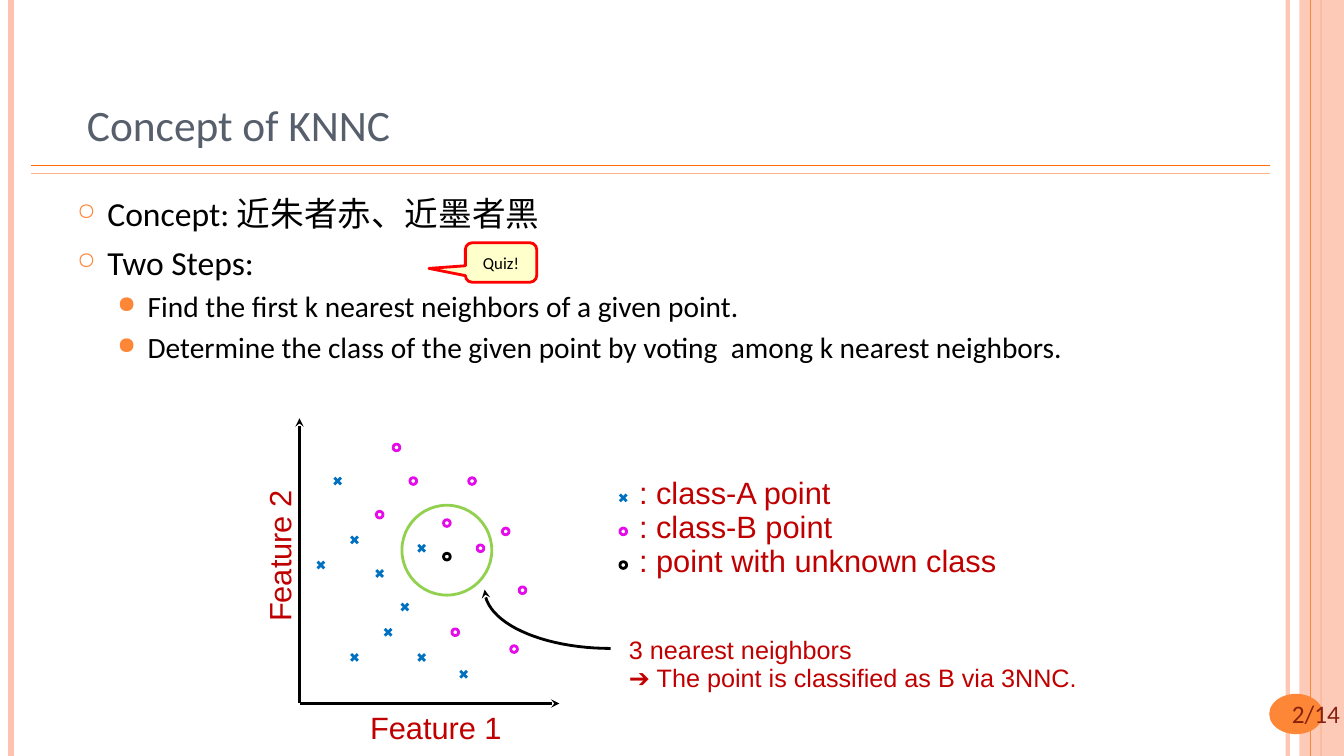
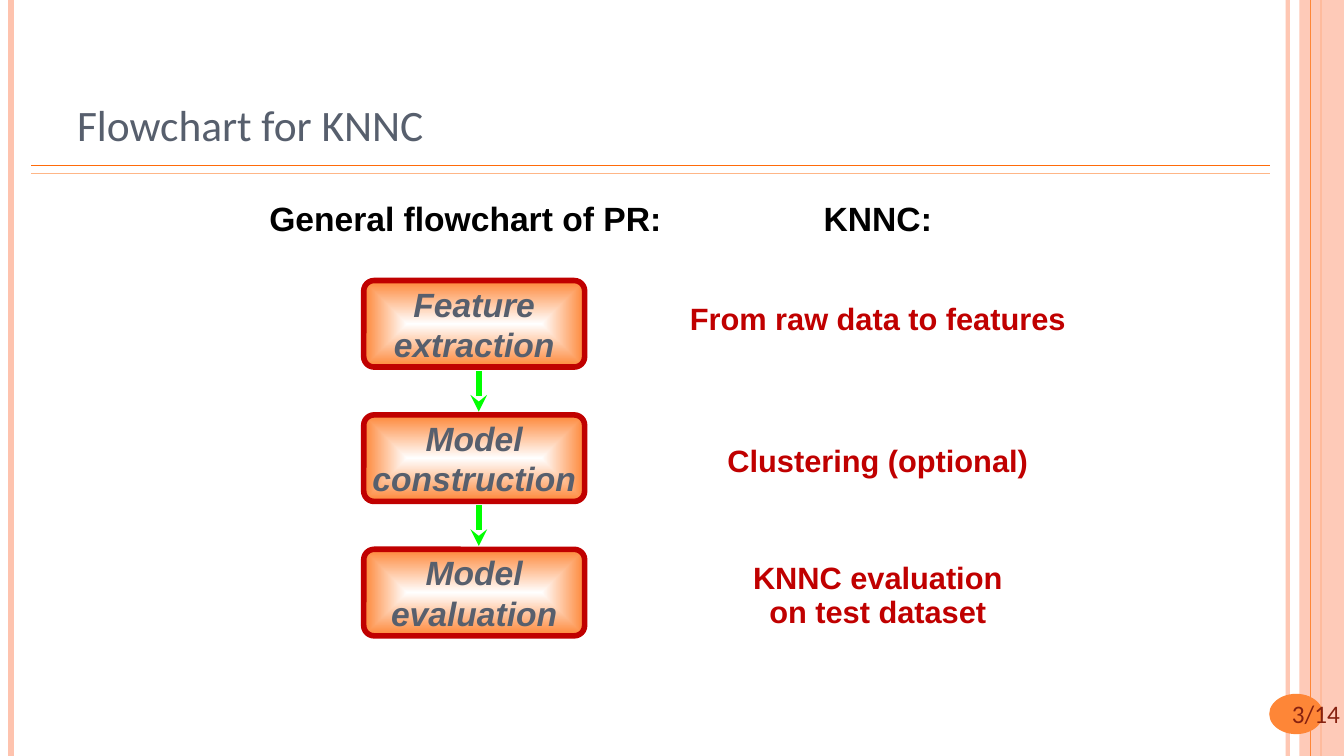
import math
from dataclasses import dataclass
from typing import NamedTuple, Optional

from pptx import Presentation
from pptx import util as u
from pptx.dml.color import RGBColor
from pptx.enum import shapes, text
from pptx.oxml import ns, xmlchemy
from pptx.slide import Slide

COLUMNS, ROWS = 160, 90
SLIDE_WIDTH, SLIDE_HEIGHT = u.Inches(13.33), u.Inches(7.5)
PAGE_COUNT = 14
SHAPE = shapes.MSO_SHAPE
LEFT, CENTER, RIGHT = text.PP_ALIGN.LEFT, text.PP_ALIGN.CENTER, text.PP_ALIGN.RIGHT
TOP, MIDDLE, BOTTOM = text.MSO_ANCHOR.TOP, text.MSO_ANCHOR.MIDDLE, text.MSO_ANCHOR.BOTTOM


@dataclass(frozen=True)
class Theme:
    heading_font: str = "Calibri"
    label_font: str = "Arial"
    black: str = "000000"
    white: str = "FFFFFF"
    slate: str = "575F6D"
    orange: str = "FE8637"
    rule_dark: str = "FF6B0A"
    rule_light: str = "FEB687"
    peach: str = "FEC3AE"
    page: str = "862110"
    red: str = "C00000"
    class_a: str = "0070C0"
    class_b: str = "E60BEB"
    neighborhood: str = "92D050"
    flow_arrow: str = "00FF00"
    callout_fill: str = "FFFFCC"
    callout_line: str = "FF0000"
    title_size: float = 31
    body_size: float = 24
    step_size: float = 21
    label_size: float = 22
    note_size: float = 18
    quiz_size: float = 12


THEME = Theme()


class Box(NamedTuple):
    column: float
    row: float
    columns: float
    rows: float


class Point(NamedTuple):
    column: float
    row: float


class Style(NamedTuple):
    size: float
    color: str
    font: str = THEME.label_font
    bold: bool = False
    italic: bool = False
    align: text.PP_ALIGN = LEFT
    spacing: Optional[float] = None
    before: float = 0


class Line(NamedTuple):
    start: Point
    end: Point
    color: str
    width: float
    arrow: bool = False
    opacity: int = 100


class Bullet(NamedTuple):
    words: str
    level: int
    symbol: str
    percent: int
    indent: float
    before: float
    size: float


class Stage(NamedTuple):
    lines: list[str]
    answer: list[str]
    answer_row: float


LABEL = Style(THEME.label_size, THEME.red, spacing=0.65, before=7)
AXIS_LABEL = LABEL._replace(align=CENTER)
ANSWER = AXIS_LABEL._replace(bold=True)
FLOW_HEADING = ANSWER._replace(size=THEME.body_size, color=THEME.black)
STAGE_STYLE = Style(THEME.body_size, THEME.slate, bold=True, italic=True, align=CENTER)
TITLE = Style(THEME.title_size, THEME.slate, THEME.heading_font, spacing=0.9)
PAGE = Style(THEME.note_size, THEME.page, THEME.heading_font, align=RIGHT)
QUIZ = Style(THEME.quiz_size, THEME.black, THEME.heading_font, align=CENTER)

STRIPES = [
    Line(Point(153.3, 0), Point(153.3, ROWS), THEME.peach, 3, opacity=93),
    Line(Point(1.3, 0), Point(1.3, ROWS), THEME.peach, 4.5),
    Line(Point(157.3, 0), Point(157.3, ROWS), THEME.orange, 1.5),
]
RULES = [
    Line(Point(156, 0), Point(156, ROWS), THEME.orange, 0.75),
    Line(Point(3.7, 19.7), Point(151.2, 19.7), THEME.rule_dark, 1),
    Line(Point(3.7, 20.65), Point(151.2, 20.65), THEME.rule_light, 1),
]
BULLETS = [
    Bullet("Concept: 近朱者赤、近墨者黑", 0, "○", 70, 0.3, 0, THEME.body_size),
    Bullet("Two Steps:", 0, "○", 70, 0.3, 6, THEME.body_size),
    Bullet("Find the first k nearest neighbors of a given point.", 1, "●", 80, 0.7, 4.2, THEME.step_size),
    Bullet("Determine the class of the given point by voting  among k nearest neighbors.",
           1, "●", 80, 0.7, 4.2, THEME.step_size),
]
CLASS_A = [(38, 67), (42, 64), (46, 75), (42, 78), (40, 57), (50, 78), (45, 68),
           (50, 65), (48, 72), (55, 80), (74, 59)]
CLASS_B = [(45, 61), (49, 57), (47, 53), (53, 62), (56, 57), (54, 75), (57, 65),
           (60, 63), (62, 70), (61, 77), (74, 63)]
UNKNOWN = [(53, 66), (74, 67)]
MARK_SHIFT = Point(0.2, 0.27)
MARK_RADIUS = 0.4
STAGES = [
    Stage(["Feature", "extraction"], ["From raw data to features"], 36.5),
    Stage(["Model", "construction"], ["Clustering (optional)"], 53.4),
    Stage(["Model", "evaluation"], ["KNNC evaluation", "on test dataset"], 67.3),
]


def across(columns: float) -> int:
    return round(SLIDE_WIDTH * columns / COLUMNS)


def down(rows: float) -> int:
    return round(SLIDE_HEIGHT * rows / ROWS)


def place(box: Box) -> tuple[int, int, int, int]:
    return across(box.column), down(box.row), across(box.columns), down(box.rows)


def rgb(color: str) -> RGBColor:
    return RGBColor.from_string(color)


def add_child(parent, tag: str, **attributes: object):
    child = xmlchemy.OxmlElement(tag)
    for name, value in attributes.items():
        child.set(name, str(value))
    parent.append(child)
    return child


def set_opacity(shape, percent: int) -> None:
    for color in shape._element.spPr.iter(ns.qn("a:srgbClr")):
        add_child(color, "a:alpha", val=percent * 1000)


def add_arrowhead(shape) -> None:
    add_child(shape.line._get_or_add_ln(), "a:tailEnd", type="stealth")


def style_paragraph(paragraph, style: Style, first: bool) -> None:
    paragraph.alignment = style.align
    if style.spacing:
        paragraph.line_spacing = style.spacing
    if style.before and not first:
        paragraph.space_before = u.Pt(style.before)
    font = paragraph.font
    font.name, font.size, font.color.rgb = style.font, u.Pt(style.size), rgb(style.color)
    font.bold, font.italic = style.bold, style.italic


def write(shape, lines: list[str], style: Style, anchor=TOP, wrap: bool = True) -> None:
    frame = shape.text_frame
    frame.word_wrap = wrap
    frame.vertical_anchor = anchor
    for index, words in enumerate(lines):
        paragraph = frame.add_paragraph() if index else frame.paragraphs[0]
        paragraph.text = words
        style_paragraph(paragraph, style, index == 0)


def add_text(slide: Slide, box: Box, lines: list[str], style: Style, anchor=TOP):
    shape = slide.shapes.add_textbox(*place(box))
    write(shape, lines, style, anchor)
    return shape


def add_line(slide: Slide, line: Line) -> None:
    connector = slide.shapes.add_connector(
        shapes.MSO_CONNECTOR.STRAIGHT, across(line.start.column), down(line.start.row),
        across(line.end.column), down(line.end.row))
    connector.line.color.rgb = rgb(line.color)
    connector.line.width = u.Pt(line.width)
    if line.opacity < 100:
        set_opacity(connector, line.opacity)
    if line.arrow:
        add_arrowhead(connector)
    add_child(connector._element.spPr, "a:effectLst")


def paint(shape, fill: Optional[str], line: Optional[str], width: float = 2) -> None:
    shape.shadow.inherit = False
    if fill:
        shape.fill.solid()
        shape.fill.fore_color.rgb = rgb(fill)
    else:
        shape.fill.background()
    if line:
        shape.line.color.rgb = rgb(line)
        shape.line.width = u.Pt(width)
    else:
        shape.line.fill.background()


def add_shape(slide: Slide, kind, box: Box, fill: Optional[str], line: Optional[str], width: float = 2):
    shape = slide.shapes.add_shape(kind, *place(box))
    paint(shape, fill, line, width)
    return shape


def add_circle(slide: Slide, center: Point, radius: float, line: str, fill: Optional[str] = None) -> None:
    box = Box(center.column - radius, center.row - radius, 2 * radius, 2 * radius)
    add_shape(slide, SHAPE.OVAL, box, fill, line)


def add_cross(slide: Slide, center: Point) -> None:
    for slope in (1, -1):
        start = Point(center.column - MARK_RADIUS, center.row - slope * MARK_RADIUS)
        end = Point(center.column + MARK_RADIUS, center.row + slope * MARK_RADIUS)
        add_line(slide, Line(start, end, THEME.class_a, 2))


def mark_center(column: int, row: int) -> Point:
    return Point(column + MARK_SHIFT.column, row + MARK_SHIFT.row)


def add_slide(presentation, title: str, number: int) -> Slide:
    slide = presentation.slides.add_slide(presentation.slide_layouts[6])
    for stripe in STRIPES:
        add_line(slide, stripe)
    band = add_shape(slide, SHAPE.RECTANGLE, Box(154.7, 0, 5.3, ROWS), THEME.peach, None)
    set_opacity(band, 87)
    for rule in RULES:
        add_line(slide, rule)
    add_shape(slide, SHAPE.OVAL, Box(151.1, 82.6, 6.4, 4.8), THEME.orange, None)
    add_text(slide, Box(146.2, 82.6, 14.5, 4.8), [f"{number}/{PAGE_COUNT}"], PAGE)
    add_text(slide, Box(8, 3.6, 130.7, 15), [title], TITLE, BOTTOM)
    return slide


def add_bullets(slide: Slide) -> None:
    frame = slide.shapes.add_textbox(*place(Box(8, 22.4, 130.7, 62.5))).text_frame
    frame.word_wrap = True
    for index, bullet in enumerate(BULLETS):
        paragraph = frame.add_paragraph() if index else frame.paragraphs[0]
        paragraph.text = bullet.words
        paragraph.level = bullet.level
        properties = paragraph._p.get_or_add_pPr()
        properties.set("marL", str(u.Inches(bullet.indent)))
        properties.set("indent", str(u.Inches(-0.3)))
        add_child(add_child(properties, "a:buClr"), "a:srgbClr", val=THEME.orange)
        add_child(properties, "a:buSzPct", val=bullet.percent * 1000)
        add_child(properties, "a:buChar", char=bullet.symbol)
        style = Style(bullet.size, THEME.black, THEME.heading_font, before=bullet.before)
        style_paragraph(paragraph, style, index == 0)


def add_curved_arrow(slide: Slide, center: Point, columns: float, rows: float, steps: int = 24) -> None:
    angles = [math.pi / 2 * step / steps for step in range(steps + 1)]
    points = [(across(center.column - columns * math.sin(angle)),
               down(center.row + rows * math.cos(angle))) for angle in angles]
    builder = slide.shapes.build_freeform(*points[0])
    builder.add_line_segments(points[1:], close=False)
    arrow = builder.convert_to_shape()
    paint(arrow, None, THEME.black)
    add_arrowhead(arrow)


def build_concept(presentation) -> None:
    slide = add_slide(presentation, " Concept of KNNC", 2)
    add_bullets(slide)
    add_line(slide, Line(Point(35.65, 83.7), Point(35.65, 49.8), THEME.black, 2, arrow=True))
    add_line(slide, Line(Point(35.75, 83.75), Point(66.6, 83.75), THEME.black, 2, arrow=True))
    add_text(slide, Box(42.7, 85.2, 18.4, 4.2), ["Feature 1"], AXIS_LABEL)
    add_text(slide, Box(24.7, 64.1, 18.4, 4.2), ["Feature 2"], AXIS_LABEL).rotation = 270
    for spot in CLASS_A:
        add_cross(slide, mark_center(*spot))
    for spot in CLASS_B:
        add_circle(slide, mark_center(*spot), MARK_RADIUS, THEME.class_b)
    for spot in UNKNOWN:
        add_circle(slide, mark_center(*spot), MARK_RADIUS, THEME.black, THEME.white)
    add_circle(slide, Point(53.2, 65.5), 5.35, THEME.neighborhood)
    legend = [": class-A point", ": class-B point", ": point with unknown class"]
    add_text(slide, Box(74.9, 57.2, 45.5, 12.7), legend, LABEL)
    add_curved_arrow(slide, Point(72.7, 70.2), 15, 7)
    note = ["3 nearest neighbors", "➔ The point is classified as B via 3NNC."]
    add_text(slide, Box(73.7, 76.1, 57, 11.4), note, LABEL._replace(size=THEME.note_size, before=6))
    callout = add_shape(slide, SHAPE.ROUNDED_RECTANGULAR_CALLOUT, Box(55.4, 28.9, 8.5, 4.7),
                        THEME.callout_fill, THEME.callout_line)
    for index, value in enumerate((-1.01, 0.15, 0.17)):
        callout.adjustments[index] = value
    write(callout, ["Quiz!"], QUIZ, MIDDLE, wrap=False)


def add_stage(slide: Slide, box: Box, lines: list[str]) -> None:
    shape = add_shape(slide, SHAPE.ROUNDED_RECTANGLE, box, None, THEME.red, 4)
    shape.adjustments[0] = 0.12
    shape.fill.gradient()
    for stop, color in zip(shape.fill.gradient_stops, (THEME.white, THEME.orange)):
        stop.color.rgb = rgb(color)
    gradient = shape._element.spPr.find(ns.qn("a:gradFill"))
    gradient.remove(gradient.find(ns.qn("a:lin")))
    focus = add_child(gradient, "a:path", path="shape")
    add_child(focus, "a:fillToRect", l=50000, t=50000, r=50000, b=50000)
    write(shape, lines, STAGE_STYLE, MIDDLE, wrap=False)


def build_flowchart(presentation) -> None:
    slide = add_slide(presentation, "Flowchart for KNNC", 3)
    add_text(slide, Box(30.6, 24.5, 49.6, 4.4), ["General flowchart of PR:"], FLOW_HEADING)
    add_text(slide, Box(80.6, 24.5, 47.8, 4.4), ["KNNC:"], FLOW_HEADING)
    for index, stage in enumerate(STAGES):
        row = 33.4 + 16 * index
        add_stage(slide, Box(43.3, row, 26.3, 10.3), stage.lines)
        add_text(slide, Box(80.6, stage.answer_row, 47.8, 4.2 * len(stage.answer)), stage.answer, ANSWER)
        if index < len(STAGES) - 1:
            add_line(slide, Line(Point(57, row + 10.75), Point(57, row + 15.6), THEME.flow_arrow, 4, arrow=True))


def main() -> None:
    presentation = Presentation()
    presentation.slide_width, presentation.slide_height = SLIDE_WIDTH, SLIDE_HEIGHT
    build_concept(presentation)
    build_flowchart(presentation)
    presentation.save("out.pptx")


if __name__ == "__main__":
    main()
